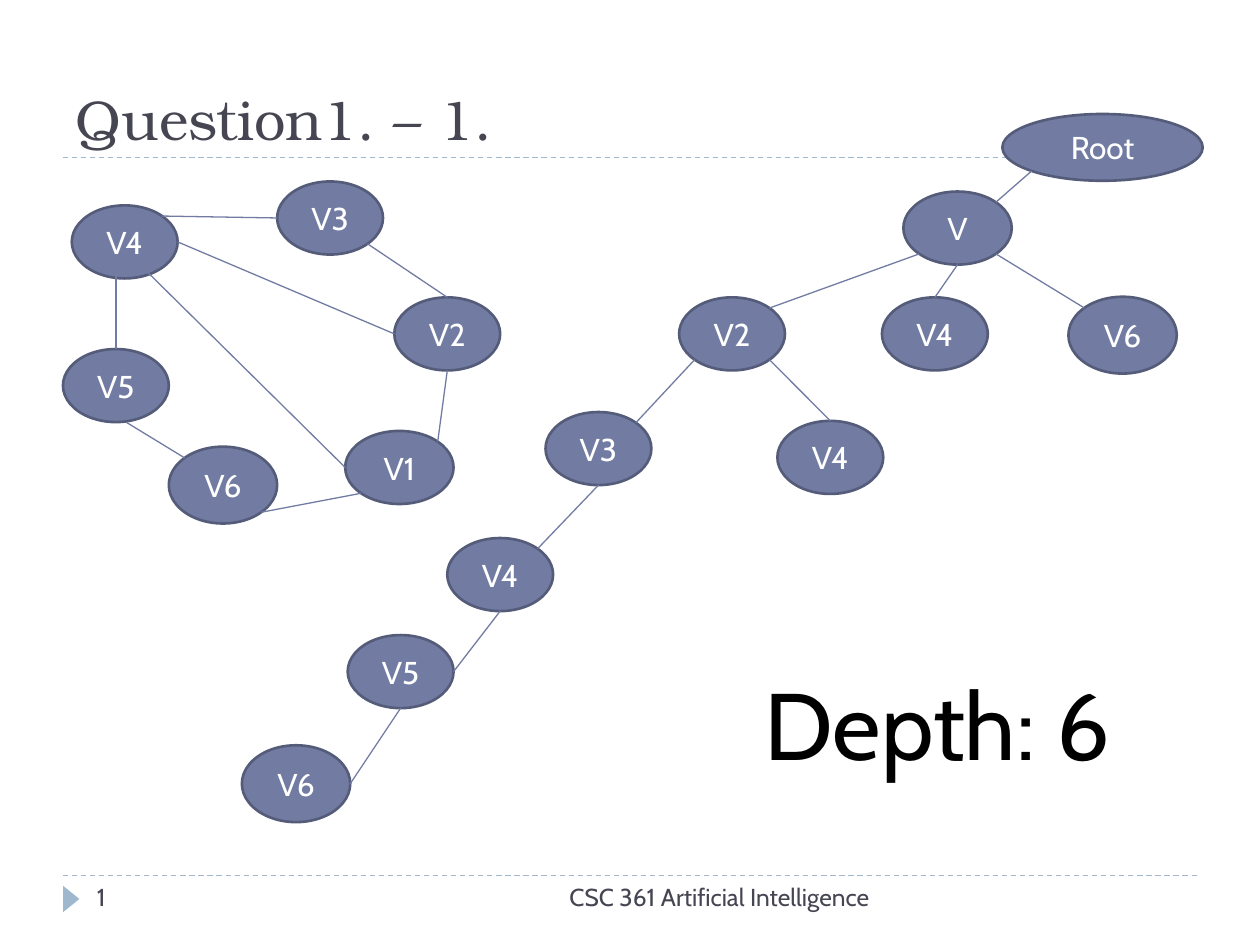
import math
from typing import NamedTuple, Union

import pptx
import pptx.dml.color
import pptx.enum.dml
import pptx.enum.shapes
import pptx.enum.text
import pptx.oxml
import pptx.oxml.ns
import pptx.util

SHAPE = pptx.enum.shapes.MSO_SHAPE
ALIGN = pptx.enum.text.PP_ALIGN
ANCHOR = pptx.enum.text.MSO_ANCHOR
COLS, ROWS = 100, 75  # square grid, ten cells to the inch
BODY, HEAD = "Cabin", "TeX Gyre Bonum"
INK, FILL, EDGE, PALE = "464653", "727CA3", "545C79", "9FB8CD"


class Point(NamedTuple):
    col: float
    row: float


class Node(NamedTuple):
    """An ellipse given by its centre and size in cells."""
    label: str
    col: float
    row: float
    wide: float = 8.4
    high: float = 5.8

    def site(self, side: str) -> Point:
        """Point on the rim at a compass side."""
        turn = math.radians("E SE S SW W NW N NE".split().index(side) * 45)
        return Point(self.col + self.wide / 2 * math.cos(turn),
                     self.row + self.high / 2 * math.sin(turn))


class End(NamedTuple):
    node: str
    side: str


class Edge(NamedTuple):
    start: Union[End, Point]
    stop: Union[End, Point]


class Label(NamedTuple):
    text: str
    col: float
    row: float
    wide: float
    high: float
    size: int
    font: str = BODY
    tint: str = INK
    align: int = ALIGN.LEFT
    anchor: int = ANCHOR.TOP
    inset: float = 1


RULES = [69.5, 12.5]
LABELS = [
    Label("Question1. – 1.", 5, 1.7, 90, 10.8, 32, HEAD, anchor=ANCHOR.BOTTOM),
    Label("CSC 361 Artificial Intelligence", 31.7, 69.5, 38.3, 4, 14, align=ALIGN.RIGHT),
    Label("1", 6.7, 69.5, 21.7, 4, 14),
    Label("Depth: 6", 59.4, 52.4, 30, 10.1, 54, tint="000000",
          align=ALIGN.CENTER, inset=0),
]
GRAPH = {
    "g4": Node("V4", 9.9, 19.2),
    "g3": Node("V3", 26.2, 17.3),
    "g5": Node("V5", 9.2, 30.6),
    "g2": Node("V2", 35.5, 26.5),
    "g6": Node("V6", 17.7, 38.5, 8.6, 6.1),
    "g1": Node("V1", 31.7, 37.1, 8.6),
}
TREE = {
    "v": Node("V", 76, 18.1, 8.6),
    "t2": Node("V2", 58.1, 26.5),
    "leaf4": Node("V4", 74.2, 26.5),
    "leaf6": Node("V6", 89.1, 26.6, 8.6, 6.1),
    "t3": Node("V3", 47.5, 35.6),
    "side4": Node("V4", 65.9, 36.3),
    "t4": Node("V4", 39.7, 45.6),
    "t5": Node("V5", 31.8, 53.3),
    "t6": Node("V6", 23.5, 62.2, 8.6, 6.1),
    "root": Node("Root", 87.5, 11.7, 15.9, 5.3),
}
NODES = {**GRAPH, **TREE}
EDGES = [
    Edge(End("g4", "E"), End("g2", "W")),
    Edge(Point(10.9, 20.8), End("g1", "W")),
    Edge(End("g3", "SE"), End("g2", "N")),
    Edge(End("g4", "NE"), End("g3", "W")),
    Edge(Point(9.2, 21.4), End("g5", "N")),
    Edge(Point(10, 33.5), End("g6", "NW")),
    Edge(End("g6", "SE"), End("g1", "SW")),
    Edge(End("g1", "NE"), End("g2", "S")),
    Edge(End("v", "SW"), End("t2", "NE")),
    Edge(End("t2", "SW"), End("t3", "NE")),
    Edge(End("t3", "S"), End("t4", "NE")),
    Edge(End("t4", "S"), End("t5", "E")),
    Edge(End("t5", "S"), End("t6", "E")),
    Edge(End("v", "S"), End("leaf4", "N")),
    Edge(End("v", "SE"), End("leaf6", "NW")),
    Edge(End("t2", "SE"), End("side4", "N")),
    Edge(End("root", "SW"), End("v", "NE")),
]

deck = pptx.Presentation()
deck.slide_width = pptx.util.Inches(10)
deck.slide_height = pptx.util.Inches(7.5)
slide = deck.slides.add_slide(deck.slide_layouts[6])


def across(cols: float) -> int:
    return round(deck.slide_width * cols / COLS)


def down(rows: float) -> int:
    return round(deck.slide_height * rows / ROWS)


def box(col: float, row: float, wide: float, high: float) -> tuple:
    return across(col), down(row), across(wide), down(high)


def paint(part, tint: str) -> None:
    """Give a fill one flat colour."""
    part.solid()
    part.fore_color.rgb = pptx.dml.color.RGBColor.from_string(tint)


def write(frame, text: str, size: int, font: str, tint: str, align: int, anchor: int) -> None:
    frame.word_wrap = True
    frame.vertical_anchor = anchor
    para = frame.paragraphs[0]
    para.text, para.alignment = text, align
    para.font.size, para.font.name = pptx.util.Pt(size), font
    paint(para.font.fill, tint)


def draw_line(start: Point, stop: Point, tint: str, dashed: bool = False) -> None:
    line = slide.shapes.add_connector(
        pptx.enum.shapes.MSO_CONNECTOR.STRAIGHT,
        across(start.col), down(start.row), across(stop.col), down(stop.row))
    line.line.width = pptx.util.Pt(0.75)
    paint(line.line.fill, tint)
    if dashed:
        line.line.dash_style = pptx.enum.dml.MSO_LINE.DASH
    flat = pptx.oxml.parse_xml(f"<a:effectLst {pptx.oxml.ns.nsdecls('a')}/>")
    line._element.spPr.append(flat)


def draw_label(label: Label) -> None:
    area = slide.shapes.add_textbox(*box(label.col, label.row, label.wide, label.high))
    frame = area.text_frame
    frame.margin_left = frame.margin_right = across(label.inset)
    write(frame, label.text, label.size, label.font, label.tint, label.align, label.anchor)


def draw_node(node: Node) -> None:
    oval = slide.shapes.add_shape(SHAPE.OVAL, *box(
        node.col - node.wide / 2, node.row - node.high / 2, node.wide, node.high))
    oval.shadow.inherit = False
    paint(oval.fill, FILL)
    paint(oval.line.fill, EDGE)
    oval.line.width = pptx.util.Pt(1.5)
    write(oval.text_frame, node.label, 18, BODY, "FFFFFF", ALIGN.CENTER, ANCHOR.MIDDLE)


def draw_marker() -> None:
    mark = slide.shapes.add_shape(SHAPE.ISOSCELES_TRIANGLE, *box(4.6, 70.7, 2.1, 1.3))
    mark.rotation = 90
    mark.shadow.inherit = False
    paint(mark.fill, PALE)
    mark.line.fill.background()


def find(end: Union[End, Point]) -> Point:
    return NODES[end.node].site(end.side) if isinstance(end, End) else end


def main() -> None:
    for row in RULES:
        draw_line(Point(5, row), Point(95, row), PALE, dashed=True)
    draw_marker()
    for label in LABELS:
        draw_label(label)
    for node in NODES.values():
        draw_node(node)
    for edge in EDGES:
        draw_line(find(edge.start), find(edge.stop), FILL)
    deck.save("out.pptx")


if __name__ == "__main__":
    main()
